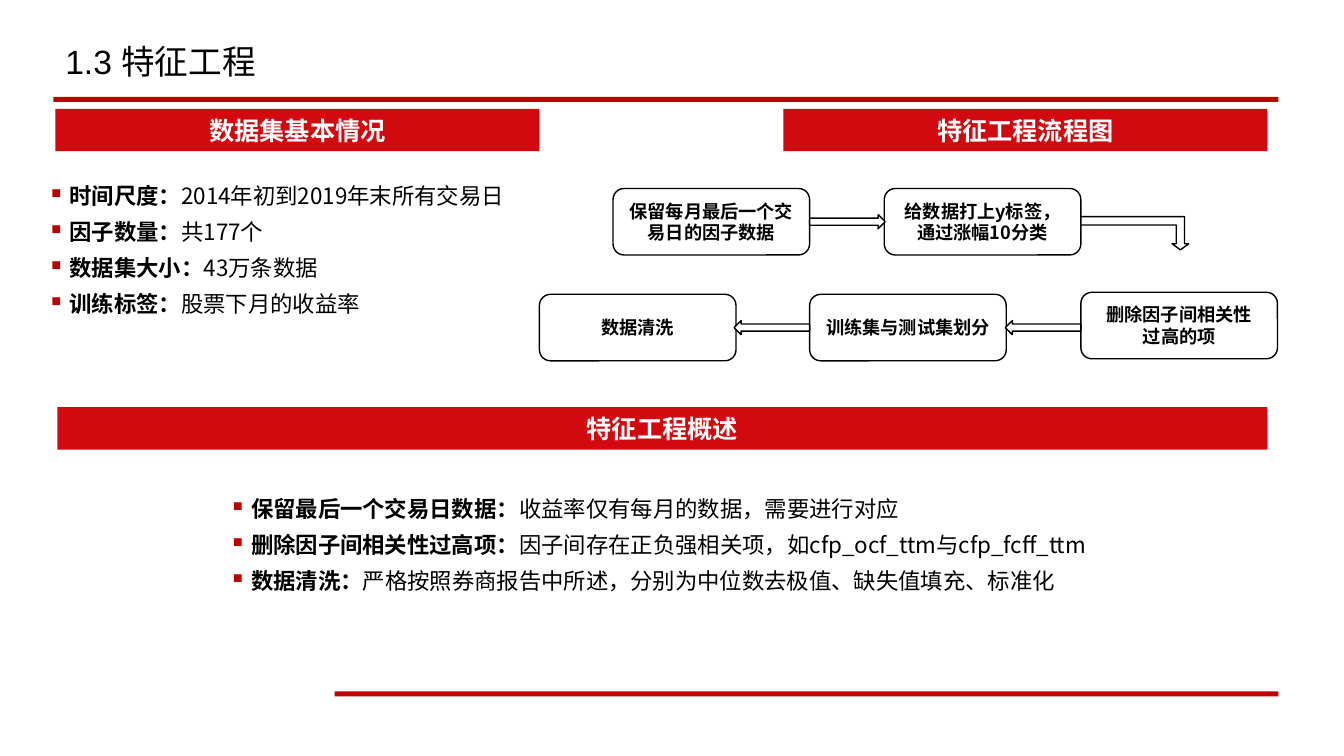
from pptx import Presentation
from pptx.dml.color import RGBColor
from pptx.enum import shapes as kinds, text as layout
from pptx.oxml import ns, xmlchemy
from pptx.util import Inches, Pt

RULE_RED = RGBColor(0xC2, 0x00, 0x00)
BANNER_RED = RGBColor(0xD2, 0x0A, 0x10)
BLACK = RGBColor(0, 0, 0)
WHITE = RGBColor(255, 255, 255)
SHAPE = kinds.MSO_SHAPE
ALIGN = layout.PP_ALIGN
ANCHOR = layout.MSO_ANCHOR
CJK = "Noto Sans CJK SC"
STEP_SIZE = (1.95, 0.66)
ARROW_SIZE = (0.75, 0.14)

DATASET = [
    ("时间尺度：", "2014年初到2019年末所有交易日"),
    ("因子数量：", "共177个"),
    ("数据集大小：", "43万条数据"),
    ("训练标签：", "股票下月的收益率"),
]
OVERVIEW = [
    ("保留最后一个交易日数据：", "收益率仅有每月的数据，需要进行对应"),
    ("删除因子间相关性过高项：", "因子间存在正负强相关项，如cfp_ocf_ttm与cfp_fcff_ttm"),
    ("数据清洗：", "严格按照券商报告中所述，分别为中位数去极值、缺失值填充、标准化"),
]
STEPS = [
    (0.73, 0, ["保留每月最后一个交易日的因子数据"]),
    (3.42, 0, ["给数据打上y标签，通过涨幅10分类"]),
    (5.37, 1.03, ["删除因子间相关性", "过高的项"]),
    (2.68, 1.05, ["训练集与测试集划分"]),
    (0, 1.05, ["数据清洗"]),
]
ARROWS = [
    (2.68, 0.26, SHAPE.RIGHT_ARROW),
    (4.62, 1.31, SHAPE.LEFT_ARROW),
    (1.93, 1.31, SHAPE.LEFT_ARROW),
]


def apply(target, values):
    """Set every attribute in values on target."""
    for name, value in values.items():
        setattr(target, name, value)


def add_span(para, words, size, font=CJK, color=BLACK, bold=False):
    """Append a formatted run for Latin and East Asian text."""
    span = para.add_run()
    span.text = words
    apply(span.font, {"size": Pt(size), "name": font, "bold": bold})
    span.font.color.rgb = color
    east = xmlchemy.OxmlElement("a:ea")
    east.set("typeface", CJK)
    span.font._element.find(ns.qn("a:latin")).addnext(east)


def add_block(page, kind, box, fill, line=None):
    """Place a flat preset shape."""
    block = page.shapes.add_shape(kind, *map(Inches, box))
    block.shadow.inherit = False
    block.fill.solid()
    block.fill.fore_color.rgb = fill
    if line is None:
        block.line.fill.background()
    else:
        block.line.color.rgb = line
        block.line.width = Pt(1)
    return block


def add_centered(block, lines, **style):
    """Write centred lines into a shape."""
    frame = block.text_frame
    apply(frame, {"word_wrap": True, "vertical_anchor": ANCHOR.MIDDLE})
    for index, words in enumerate(lines):
        para = frame.add_paragraph() if index else frame.paragraphs[0]
        para.alignment = ALIGN.CENTER
        add_span(para, words, **style)


def add_heading(page, box):
    """Draw the slide title and the two red rules."""
    left, top, width, height = box
    for inset, drop in ((0, 0.56), (2.79, 6.46)):
        add_block(page, SHAPE.RECTANGLE, (left + inset, top + drop, width - inset, 0.05), RULE_RED)
    title = page.shapes.add_textbox(*map(Inches, (left + 0.02, top, 9.6, height)))
    title.text_frame.word_wrap = True
    para = title.text_frame.paragraphs[0]
    apply(para, {"line_spacing": 0.9, "space_before": Pt(10)})
    add_span(para, "1.3 特征工程", 24, "Arial")


def add_banner(page, box, words):
    """Draw a red section banner."""
    banner = add_block(page, SHAPE.RECTANGLE, box, BANNER_RED)
    apply(banner.text_frame, {"margin_top": 0, "margin_bottom": 0})
    add_centered(banner, [words], size=18, font="Arial", color=WHITE, bold=True)


def add_bullet(para):
    """Give a paragraph a hanging red square bullet."""
    props = para._p.get_or_add_pPr()
    apply_indent = {"marL": Inches(0.18), "indent": Inches(-0.18)}
    for name, value in apply_indent.items():
        props.set(name, str(int(value)))
    color = xmlchemy.OxmlElement("a:buClr")
    tint = xmlchemy.OxmlElement("a:srgbClr")
    tint.set("val", "C00000")
    color.append(tint)
    size = xmlchemy.OxmlElement("a:buSzPct")
    size.set("val", "60000")
    mark = xmlchemy.OxmlElement("a:buChar")
    mark.set("char", "■")
    props.extend([color, size, mark])


def add_facts(page, box, facts):
    """Write a bulleted list of bold labels and plain details."""
    frame = page.shapes.add_textbox(*map(Inches, box)).text_frame
    apply(frame, {
        "word_wrap": True,
        "margin_left": Inches(0.09), "margin_right": Inches(0.09),
        "margin_top": Inches(0.04), "margin_bottom": Inches(0.04),
    })
    for index, (label, detail) in enumerate(facts):
        para = frame.add_paragraph() if index else frame.paragraphs[0]
        apply(para, {"alignment": ALIGN.JUSTIFY, "line_spacing": 1.2, "space_before": Pt(2.7)})
        add_bullet(para)
        add_span(para, label, 16, bold=True)
        add_span(para, detail, 16)


def add_flow(page, left, top):
    """Draw the process steps and the arrows between them."""
    for across, down, lines in STEPS:
        step = add_block(page, SHAPE.ROUNDED_RECTANGLE,
                         (left + across, top + down, *STEP_SIZE), WHITE, BLACK)
        add_centered(step, lines, size=13, bold=True)
    for across, down, kind in ARROWS:
        add_block(page, kind, (left + across, top + down, *ARROW_SIZE), WHITE, BLACK)
    bend = add_block(page, SHAPE.BENT_UP_ARROW, (left + 5.37, top + 0.28, 1.07, 0.33), WHITE, BLACK)
    bend.adjustments[2] = 0.185
    bend._element.spPr.find(ns.qn("a:xfrm")).set("flipV", "1")


def build_slide(page):
    """Arrange all regions of the feature engineering slide."""
    add_heading(page, (0.53, 0.4, 12.15, 0.66))
    add_banner(page, (0.55, 1.08, 4.8, 0.42), "数据集基本情况")
    add_facts(page, (0.42, 1.71, 5.62, 1.75), DATASET)
    add_banner(page, (7.77, 1.08, 4.8, 0.42), "特征工程流程图")
    add_flow(page, 5.35, 1.87)
    add_banner(page, (0.57, 4.04, 12, 0.42), "特征工程概述")
    add_facts(page, (2.22, 4.82, 8.88, 1.47), OVERVIEW)


def main():
    """Build and save the deck."""
    deck = Presentation()
    apply(deck, {"slide_width": Inches(13.33), "slide_height": Inches(7.5)})
    build_slide(deck.slides.add_slide(deck.slide_layouts[6]))
    deck.save("out.pptx")


if __name__ == "__main__":
    main()
